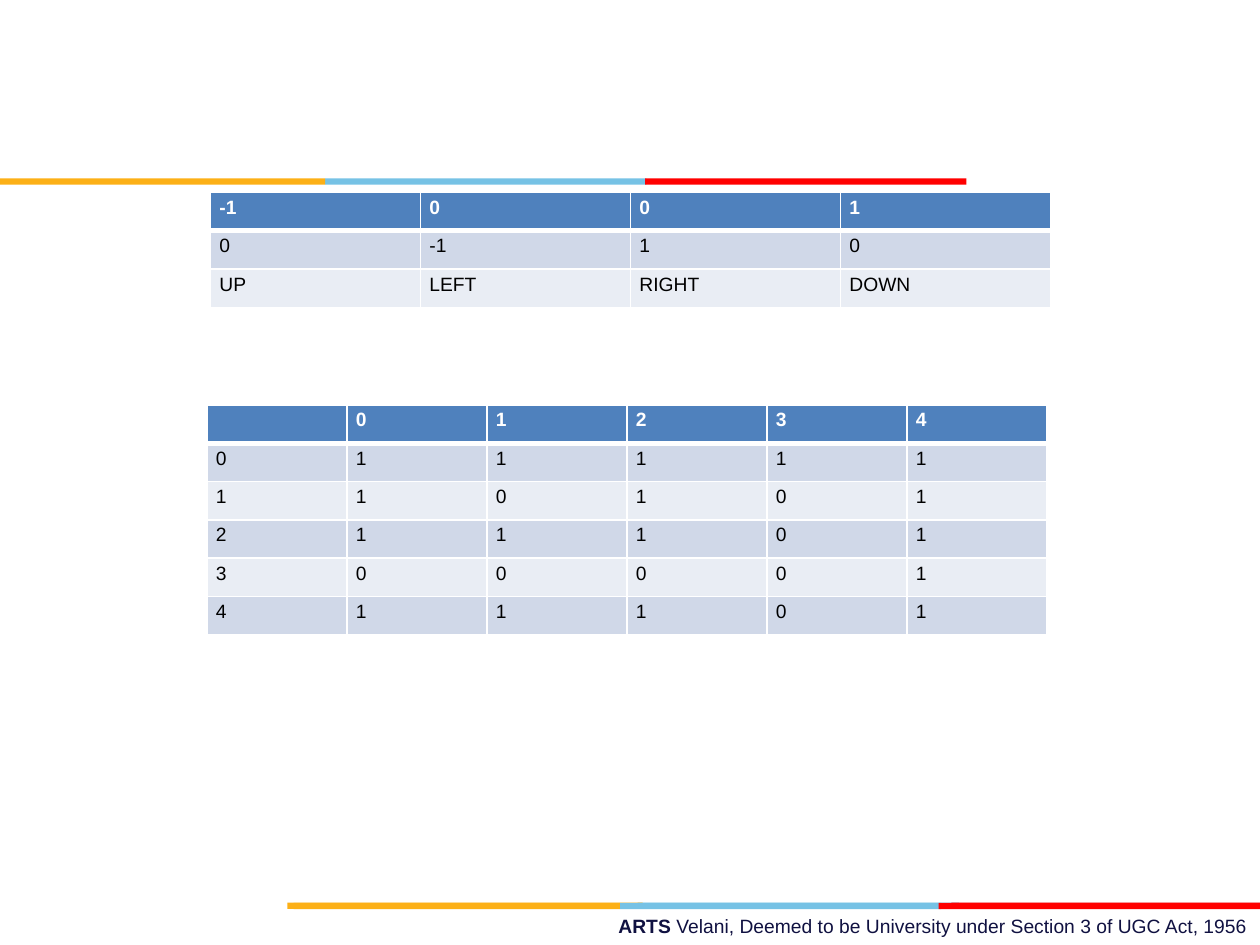
from lxml import etree
from pptx import Presentation
from pptx.dml.color import RGBColor
from pptx.enum.shapes import MSO_SHAPE
from pptx.enum.text import PP_ALIGN
from pptx.oxml.ns import qn
from pptx.util import Pt

RECTANGLE = MSO_SHAPE.RECTANGLE
RIGHT = PP_ALIGN.RIGHT

FONT = "Arial"
TEXT_SIZE = 11
WHITE = "FFFFFF"
BLACK = "000000"
NAVY = "101141"
ORANGE = "FCB017"
SKY = "76C2E5"
CRIMSON = "E31C24"
RED = "FF0000"
HEADER_FILL = "4F81BD"
BAND_FILLS = ("D0D8E8", "E9EDF4")

STRIPE_HEIGHT = 3.6
ROW_HEIGHT = 21.9
TABLE_WIDTH = 480

LOWER_FOOTER_STRIPE = [(364.3, 183.6, SKY), (543.6, 176.4, CRIMSON), (164.2, 203, ORANGE)]
UPPER_FOOTER_STRIPE = [(354.2, 183.6, SKY), (167.8, 186.4, ORANGE), (536.4, 183.6, RED)]
TITLE_STRIPE = [(185.8, 183.6, SKY), (0, 185.8, ORANGE), (368.6, 183.6, RED)]

MAZE_ROWS = [
    ["", "0", "1", "2", "3", "4"],
    ["0", "1", "1", "1", "1", "1"],
    ["1", "1", "0", "1", "0", "1"],
    ["2", "1", "1", "1", "0", "1"],
    ["3", "0", "0", "0", "0", "1"],
    ["4", "1", "1", "1", "0", "1"],
]
MOVE_ROWS = [
    ["-1", "0", "0", "1"],
    ["0", "-1", "1", "0"],
    ["UP", "LEFT", "RIGHT", "DOWN"],
]


def color(hex_string):
    return RGBColor.from_string(hex_string)


def format_run(run, hex_string, bold):
    run.font.name = FONT
    run.font.size = Pt(TEXT_SIZE)
    run.font.bold = bold
    run.font.color.rgb = color(hex_string)


def add_stripe(slide, top, segments):
    for left, width, fill in segments:
        shape = slide.shapes.add_shape(RECTANGLE, Pt(left), Pt(top), Pt(width), Pt(STRIPE_HEIGHT))
        shape.shadow.inherit = False
        shape.fill.solid()
        shape.fill.fore_color.rgb = color(fill)
        shape.line.fill.background()


def add_footer(slide):
    text_box = slide.shapes.add_textbox(Pt(257.8), Pt(519.1), Pt(462.2), Pt(20.9))
    text_frame = text_box.text_frame
    text_frame.word_wrap = True
    paragraph = text_frame.paragraphs[0]
    paragraph.alignment = RIGHT
    paragraph.text = "ARTS "
    paragraph.add_run().text = "Velani, Deemed to be University under Section 3 of UGC Act, 1956"
    name_run, statement_run = paragraph.runs
    format_run(name_run, NAVY, True)
    format_run(statement_run, NAVY, False)


def set_borders(cell, top, bottom):
    properties = cell._tc.get_or_add_tcPr()
    widths = {"a:lnL": 1, "a:lnR": 1, "a:lnT": top, "a:lnB": bottom}
    for index, (tag, width) in enumerate(widths.items()):
        line = etree.Element(qn(tag), w=str(Pt(width)))
        fill = etree.SubElement(line, qn("a:solidFill"))
        etree.SubElement(fill, qn("a:srgbClr"), val=WHITE)
        properties.insert(index, line)


def fill_cell(cell, text, row_index):
    is_header = row_index == 0
    cell.margin_left = cell.margin_right = Pt(5.2)
    cell.margin_top = cell.margin_bottom = Pt(2.6)
    cell.fill.solid()
    cell.fill.fore_color.rgb = color(HEADER_FILL if is_header else BAND_FILLS[(row_index - 1) % 2])
    set_borders(cell, 3 if row_index == 1 else 1, 3 if is_header else 1)
    paragraph = cell.text_frame.paragraphs[0]
    paragraph.text = text
    for run in paragraph.runs:
        format_run(run, WHITE if is_header else BLACK, is_header)
    etree.SubElement(paragraph._p, qn("a:endParaRPr"), sz=str(TEXT_SIZE * 100))


def add_grid(slide, left, top, rows):
    column_count = len(rows[0])
    table = slide.shapes.add_table(
        len(rows), column_count, Pt(left), Pt(top), Pt(TABLE_WIDTH), Pt(ROW_HEIGHT * len(rows))
    ).table
    for column in table.columns:
        column.width = Pt(TABLE_WIDTH / column_count)
    for row_index, values in enumerate(rows):
        table.rows[row_index].height = Pt(ROW_HEIGHT)
        for column_index, text in enumerate(values):
            fill_cell(table.cell(row_index, column_index), text, row_index)


def main():
    presentation = Presentation()
    presentation.slide_width = Pt(720)
    presentation.slide_height = Pt(540)
    slide = presentation.slides.add_slide(presentation.slide_layouts[6])
    add_footer(slide)
    add_stripe(slide, 515.8, LOWER_FOOTER_STRIPE)
    add_stripe(slide, 516, UPPER_FOOTER_STRIPE)
    add_stripe(slide, 102, TITLE_STRIPE)
    add_grid(slide, 118.2, 231.4, MAZE_ROWS)
    add_grid(slide, 120.2, 110, MOVE_ROWS)
    presentation.save("out.pptx")


if __name__ == "__main__":
    main()
